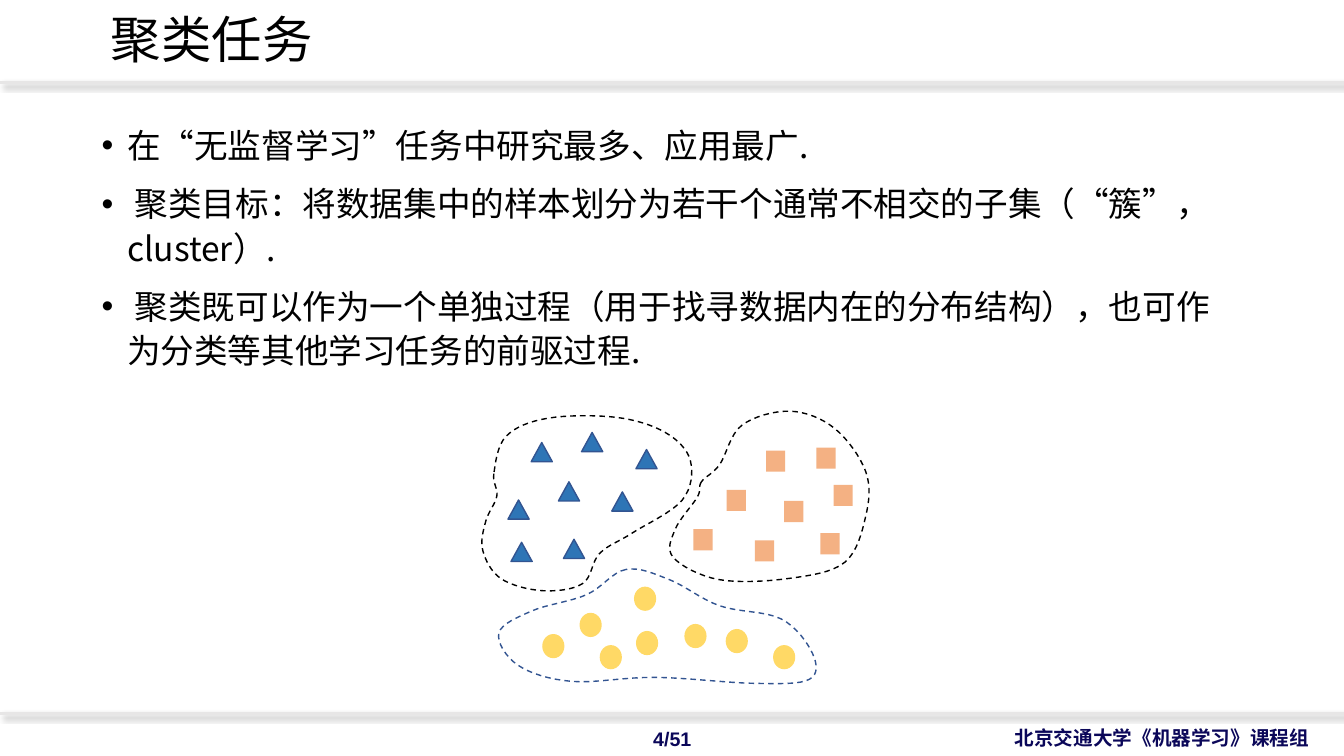
from dataclasses import dataclass

from lxml import etree
from pptx import Presentation
from pptx.dml.color import RGBColor
from pptx.enum.dml import MSO_LINE
from pptx.enum.shapes import MSO_CONNECTOR, MSO_SHAPE
from pptx.enum.text import MSO_ANCHOR, MSO_AUTO_SIZE, PP_ALIGN
from pptx.oxml.ns import qn
from pptx.util import Cm, Pt

STRAIGHT = MSO_CONNECTOR.STRAIGHT
TRIANGLE, SQUARE, CIRCLE = MSO_SHAPE.ISOSCELES_TRIANGLE, MSO_SHAPE.RECTANGLE, MSO_SHAPE.OVAL
DASH = MSO_LINE.DASH
MIDDLE, TOP = MSO_ANCHOR.MIDDLE, MSO_ANCHOR.TOP
LEFT, CENTER, RIGHT = PP_ALIGN.LEFT, PP_ALIGN.CENTER, PP_ALIGN.RIGHT
NO_AUTOFIT = MSO_AUTO_SIZE.NONE

BLACK = RGBColor(0x00, 0x00, 0x00)
NAVY = RGBColor(0x0B, 0x07, 0x59)
RULE_GRAY = RGBColor(0xE7, 0xE6, 0xE6)
EDGE_BLUE = RGBColor(0x32, 0x54, 0x91)
BLUE = RGBColor(0x2E, 0x75, 0xB6)
ORANGE = RGBColor(0xF4, 0xB1, 0x83)
YELLOW = RGBColor(0xFF, 0xD9, 0x66)

CJK_FONT = "Noto Sans CJK SC"
PAGE_WIDTH, PAGE_HEIGHT = Cm(33.87), Cm(19.05)
GRID = Cm(2.54) / 100  # step of the cluster drawing
CURVE_STEPS = 8  # segments between two outline points

Point = tuple[int, int]


@dataclass(frozen=True)
class Footer:
    text: str
    left: float
    top: float
    width: float
    align: PP_ALIGN


@dataclass(frozen=True)
class Cluster:
    """A smooth dashed outline and its samples, in grid steps."""
    outline: list[Point]
    outline_color: RGBColor
    marker: MSO_SHAPE
    marker_size: Point
    fill: RGBColor
    edge: RGBColor | None
    samples: list[Point]


TITLE = "聚类任务"
BULLETS = [
    "在“无监督学习”任务中研究最多、应用最广.",
    " 聚类目标：将数据集中的样本划分为若干个通常不相交的子集（“簇”，cluster）.",
    " 聚类既可以作为一个单独过程（用于找寻数据内在的分布结构），也可作为分类等其他学习任务的前驱过程.",
]
FOOTERS = [
    Footer("北京交通大学《机器学习》课程组", 22.56, 18.16, 10.69, RIGHT),
    Footer("4/51", 15.37, 18.19, 3.15, CENTER),
]
RULE_HEIGHTS = [2.08, 17.98]

CLUSTERS = [
    Cluster(
        [(490, 470), (493, 492), (482, 517), (479, 546), (497, 574), (538, 586), (578, 579),
         (595, 549), (627, 529), (677, 496), (685, 457), (660, 429), (611, 414), (543, 415),
         (502, 433)],
        BLACK, TRIANGLE, (21, 19), BLUE, EDGE_BLUE,
        [(527, 439), (504, 496), (577, 429), (554, 478),
         (631, 446), (607, 488), (507, 538), (559, 535)],
    ),
    Cluster(
        [(696, 478), (692, 493), (670, 525), (668, 553), (713, 575), (782, 574), (838, 558),
         (859, 512), (859, 468), (828, 425), (784, 408), (736, 422), (714, 461)],
        BLACK, SQUARE, (19, 21), ORANGE, None,
        [(760, 447), (721, 486), (778, 497), (688, 525),
         (749, 536), (814, 529), (810, 444), (827, 481)],
    ),
    Cluster(
        [(621, 565), (582, 590), (528, 606), (495, 628), (514, 660), (567, 676), (650, 672),
         (749, 678), (803, 674), (806, 648), (775, 614), (714, 601), (664, 575)],
        EDGE_BLUE, CIRCLE, (22, 24), YELLOW, None,
        [(595, 640), (631, 626), (629, 582), (679, 619),
         (720, 624), (767, 640), (575, 608), (538, 629)],
    ),
]


def style_text(paragraph, font_name: str, size: int, color: RGBColor, bold: bool = False) -> None:
    font = paragraph.font
    font.name, font.size, font.bold = font_name, Pt(size), bold
    font.color.rgb = color
    defaults = paragraph._p.pPr.find(qn("a:defRPr"))
    etree.SubElement(defaults, qn("a:ea"), typeface=CJK_FONT)


def place(box, left: float, top: float, width: float, height: float, anchor: MSO_ANCHOR):
    """Move a placeholder and return its prepared text frame."""
    box.left, box.top, box.width, box.height = Cm(left), Cm(top), Cm(width), Cm(height)
    frame = box.text_frame
    frame.auto_size, frame.word_wrap, frame.vertical_anchor = NO_AUTOFIT, True, anchor
    return frame


def fill_title(box) -> None:
    frame = place(box, 2.54, 0.41, 21.79, 1.3, MIDDLE)
    frame.text = TITLE
    paragraph = frame.paragraphs[0]
    paragraph.alignment, paragraph.line_spacing = LEFT, 0.9
    style_text(paragraph, CJK_FONT, 36, BLACK)


def fill_body(box) -> None:
    frame = place(box, 2.31, 2.92, 28.8, 8.23, TOP)
    frame.text = "\n".join(BULLETS)
    for index, paragraph in enumerate(frame.paragraphs):
        paragraph.line_spacing = 1.1
        paragraph.space_before = Pt(10 if index else 0)
        properties = paragraph._p.get_or_add_pPr()
        properties.set("marL", str(Cm(0.64)))
        properties.set("indent", str(-Cm(0.64)))
        etree.SubElement(properties, qn("a:buFont"), typeface="Arial")
        etree.SubElement(properties, qn("a:buChar"), char="•")
        style_text(paragraph, CJK_FONT, 24, BLACK)


def draw_rule(page, height: float) -> None:
    rule = page.shapes.add_connector(STRAIGHT, 0, Cm(height), PAGE_WIDTH, Cm(height))
    rule.line.color.rgb, rule.line.width = RULE_GRAY, Pt(2)
    effects = etree.SubElement(rule._element.spPr, qn("a:effectLst"))
    shadow = etree.SubElement(effects, qn("a:outerShdw"), blurRad=str(Pt(4)),
                              dist=str(Pt(3)), dir="2700000", algn="tl", rotWithShape="0")
    color = etree.SubElement(shadow, qn("a:srgbClr"), val=str(BLACK))
    etree.SubElement(color, qn("a:alpha"), val="40000")


def draw_footer(page, footer: Footer) -> None:
    box = page.shapes.add_textbox(Cm(footer.left), Cm(footer.top), Cm(footer.width), Cm(0.86))
    frame = box.text_frame
    frame.word_wrap, frame.vertical_anchor = True, MIDDLE
    frame.text = footer.text
    paragraph = frame.paragraphs[0]
    paragraph.alignment = footer.align
    style_text(paragraph, "Arial", 14, NAVY, bold=True)


def smooth_curve(points: list[Point]) -> list[Point]:
    """Closed Catmull-Rom curve through the points, in EMU."""
    curve = []
    for index, start in enumerate(points):
        before = points[index - 1]
        end, after = (points[(index + ahead) % len(points)] for ahead in (1, 2))
        for step in range(CURVE_STEPS):
            t = step / CURVE_STEPS
            x, y = (
                b + t * ((c - a) + t * ((2 * a - 5 * b + 4 * c - d)
                                        + t * (3 * b - a - 3 * c + d))) / 2
                for a, b, c, d in zip(before, start, end, after)
            )
            curve.append((round(x * GRID), round(y * GRID)))
    return curve


def draw_outline(group, cluster: Cluster) -> None:
    first, *others = smooth_curve(cluster.outline)
    builder = group.shapes.build_freeform(*first)
    builder.add_line_segments(others, close=True)
    outline = builder.convert_to_shape()
    outline.shadow.inherit = False
    outline.fill.background()
    outline.line.color.rgb, outline.line.width = cluster.outline_color, Pt(1)
    outline.line.dash_style = DASH


def draw_samples(group, cluster: Cluster) -> None:
    for sample in cluster.samples:
        bounds = [round(step * GRID) for step in sample + cluster.marker_size]
        marker = group.shapes.add_shape(cluster.marker, *bounds)
        marker.shadow.inherit = False
        marker.fill.solid()
        marker.fill.fore_color.rgb = cluster.fill
        if cluster.edge is None:
            marker.line.fill.background()
        else:
            marker.line.color.rgb, marker.line.width = cluster.edge, Pt(1)


def main() -> None:
    deck = Presentation()
    deck.slide_width, deck.slide_height = PAGE_WIDTH, PAGE_HEIGHT
    page = deck.slides.add_slide(deck.slide_layouts[1])
    # Title and list
    fill_title(page.shapes.title)
    fill_body(page.placeholders[1])
    # Rules and footer
    for height in RULE_HEIGHTS:
        draw_rule(page, height)
    for footer in FOOTERS:
        draw_footer(page, footer)
    # Cluster drawing
    group = page.shapes.add_group_shape()
    for cluster in CLUSTERS:
        draw_outline(group, cluster)
        draw_samples(group, cluster)
    deck.save("out.pptx")


if __name__ == "__main__":
    main()
